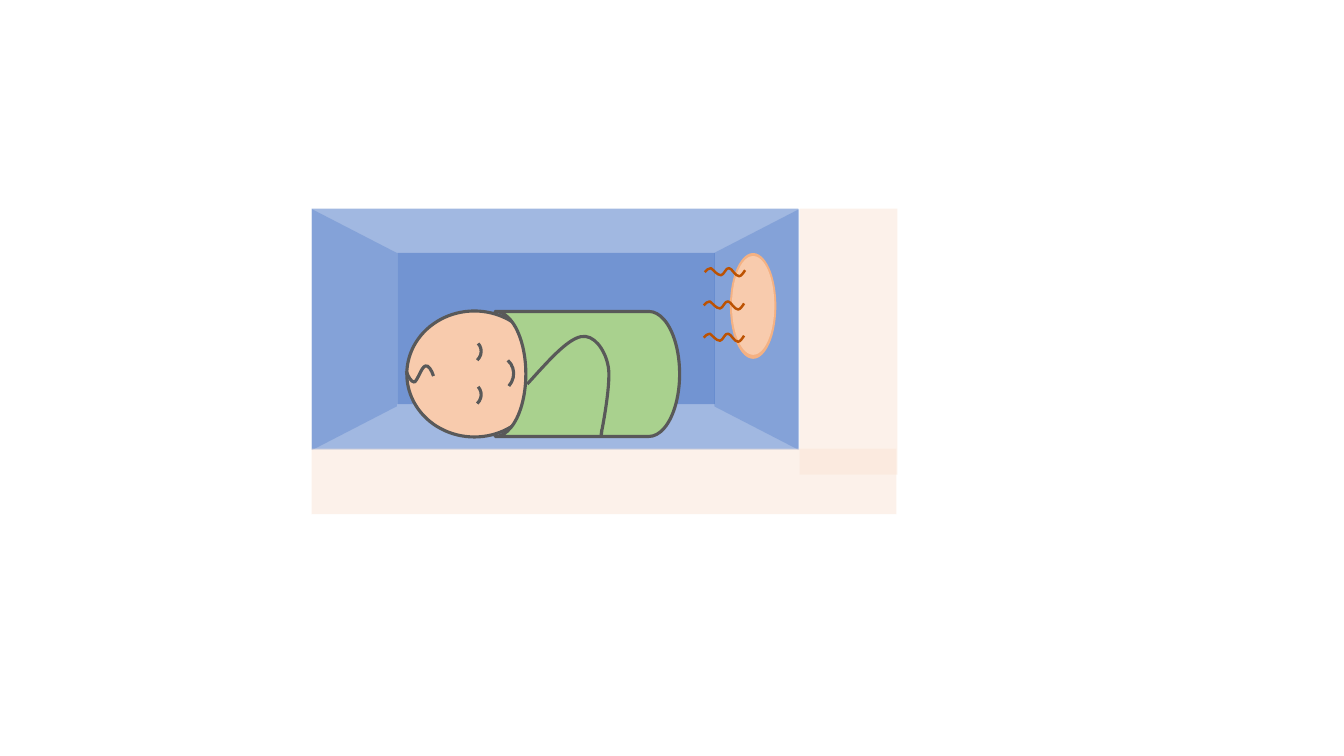
"""Builds a slide with a swaddled baby asleep in a box warmed from the side."""
from lxml.etree import SubElement
from pptx import Presentation
from pptx.dml.color import RGBColor
from pptx.enum.shapes import MSO_SHAPE
from pptx.oxml.ns import qn
from pptx.util import Pt

PX = 9144
SLIDE_SIZE = (1333, 750)

BLUE = RGBColor(0x44, 0x72, 0xC4)
SKIN = RGBColor(0xF8, 0xCB, 0xAD)
GREEN = RGBColor(0xA9, 0xD1, 0x8E)
INK = RGBColor(0x59, 0x59, 0x59)
CREAM = RGBColor(0xFB, 0xE5, 0xD6)
ORANGE = RGBColor(0xF4, 0xB1, 0x83)
HEAT = RGBColor(0xBC, 0x52, 0x02)

INK_WIDTH = 2.25
HEAT_WIDTH = 1.75

BOX_FACES = [(394, 251, 315, 150), (309, 207, 483, 239)]
BOX_SIDES = [((232, 285, 239, 84), 90), ((631, 285, 239, 84), 270)]
BOX_SIDE_SLANT = 0.516
HEAD = (408, 304, 125, 134)
MOUTH = (474, 353, 35, 37)
SWADDLE = (491, 309, 183, 124)
EYES = [(454, 380, 23, 24), (454, 337, 23, 24)]
WALLS = [(309, 445, 580, 65), (793, 207, 97, 264)]
HEATER = [((724, 251, 46, 105), ORANGE), ((726, 254, 42, 98), SKIN)]

HAIR = [(403, 368), (405, 374), (408, 379), (411, 379), (414, 378),
        (418, 364), (422, 363), (425, 362), (428, 367), (430, 373)]
FOLD = [(523, 381), (543, 359), (562, 337), (576, 334), (589, 331),
        (600, 347), (603, 362), (607, 377), (597, 427), (597, 427),
        (596, 437), (596, 432), (597, 426)]
HEAT_WAVE = [(0, 0), (-2, 3), (-4, 6), (-6, 6), (-10, 6), (-13, -2),
             (-16, -2), (-19, -3), (-21, 5), (-24, 5), (-28, 5), (-32, -1),
             (-34, -2), (-37, -2), (-38, 0), (-40, 2)]
HEAT_STARTS = [(739, 268), (738, 301), (738, 333)]


def paint(shape, fill=None, opacity=100, line=None, width=INK_WIDTH):
    shape.shadow.inherit = False
    if fill is None:
        shape.fill.background()
    else:
        shape.fill.solid()
        shape.fill.fore_color.rgb = fill
        if opacity < 100:
            color = shape.fill._xPr.find(qn("a:solidFill"))[0]
            SubElement(color, qn("a:alpha"), val=str(opacity * 1000))
    if line is None:
        shape.line.fill.background()
    else:
        shape.line.color.rgb = line
        shape.line.width = Pt(width)


def add_preset(shapes, kind, frame, turn=0, slant=None, **look):
    shape = shapes.add_shape(kind, *(length * PX for length in frame))
    shape.rotation = turn
    if slant is not None:
        shape.adjustments[0] = slant
    paint(shape, **look)


def turn_back(points, turn):
    xs, ys = zip(*points[::3])
    center_x, center_y = (min(xs) + max(xs)) / 2, (min(ys) + max(ys)) / 2
    offsets = [(x - center_x, y - center_y) for x, y in points]
    for _ in range((360 - turn) // 90):
        offsets = [(-dy, dx) for dx, dy in offsets]
    return [(int((center_x + dx) * PX), int((center_y + dy) * PX))
            for dx, dy in offsets]


def add_curve(shapes, points, turn, **look):
    nodes = turn_back(points, turn)
    anchors = nodes[::3]
    builder = shapes.build_freeform(*anchors[0])
    builder.add_line_segments(anchors[1:], close=False)
    shape = builder.convert_to_shape()
    left = min(x for x, _ in anchors)
    top = min(y for _, y in anchors)
    segments = list(shape._element.iter(qn("a:lnTo")))
    for index, segment in enumerate(segments):
        segment.tag = qn("a:cubicBezTo")
        for place, (x, y) in enumerate(nodes[index * 3 + 1:index * 3 + 3]):
            control = SubElement(segment, qn("a:pt"),
                                 x=str(x - left), y=str(y - top))
            segment.insert(place, control)
    shape.rotation = turn
    paint(shape, **look)


def draw_scene(shapes):
    for face in BOX_FACES:
        add_preset(shapes, MSO_SHAPE.RECTANGLE, face, fill=BLUE, opacity=50)
    for side, turn in BOX_SIDES:
        add_preset(shapes, MSO_SHAPE.TRAPEZOID, side, turn, BOX_SIDE_SLANT,
                   fill=BLUE, opacity=30)

    add_preset(shapes, MSO_SHAPE.OVAL, HEAD, 270, fill=SKIN, line=INK)
    add_preset(shapes, MSO_SHAPE.ARC, MOUTH, 41.1, line=INK)
    add_curve(shapes, HAIR, 270, line=INK)
    add_preset(shapes, MSO_SHAPE.FLOWCHART_STORED_DATA, SWADDLE, 180,
               fill=GREEN, line=INK)
    add_curve(shapes, FOLD, 270, fill=GREEN, line=INK)
    for eye in EYES:
        add_preset(shapes, MSO_SHAPE.ARC, eye, 46.8, line=INK)

    for wall in WALLS:
        add_preset(shapes, MSO_SHAPE.RECTANGLE, wall, fill=CREAM, opacity=50)
    for disc, color in HEATER:
        add_preset(shapes, MSO_SHAPE.OVAL, disc, fill=color)
    for left, top in HEAT_STARTS:
        wave = [(left + dx, top + dy) for dx, dy in HEAT_WAVE]
        add_curve(shapes, wave, 180, line=HEAT, width=HEAT_WIDTH)


def main():
    deck = Presentation()
    deck.slide_width, deck.slide_height = (side * PX for side in SLIDE_SIZE)
    slide = deck.slides.add_slide(deck.slide_layouts[6])
    draw_scene(slide.shapes.add_group_shape().shapes)
    deck.save("out.pptx")


if __name__ == "__main__":
    main()
